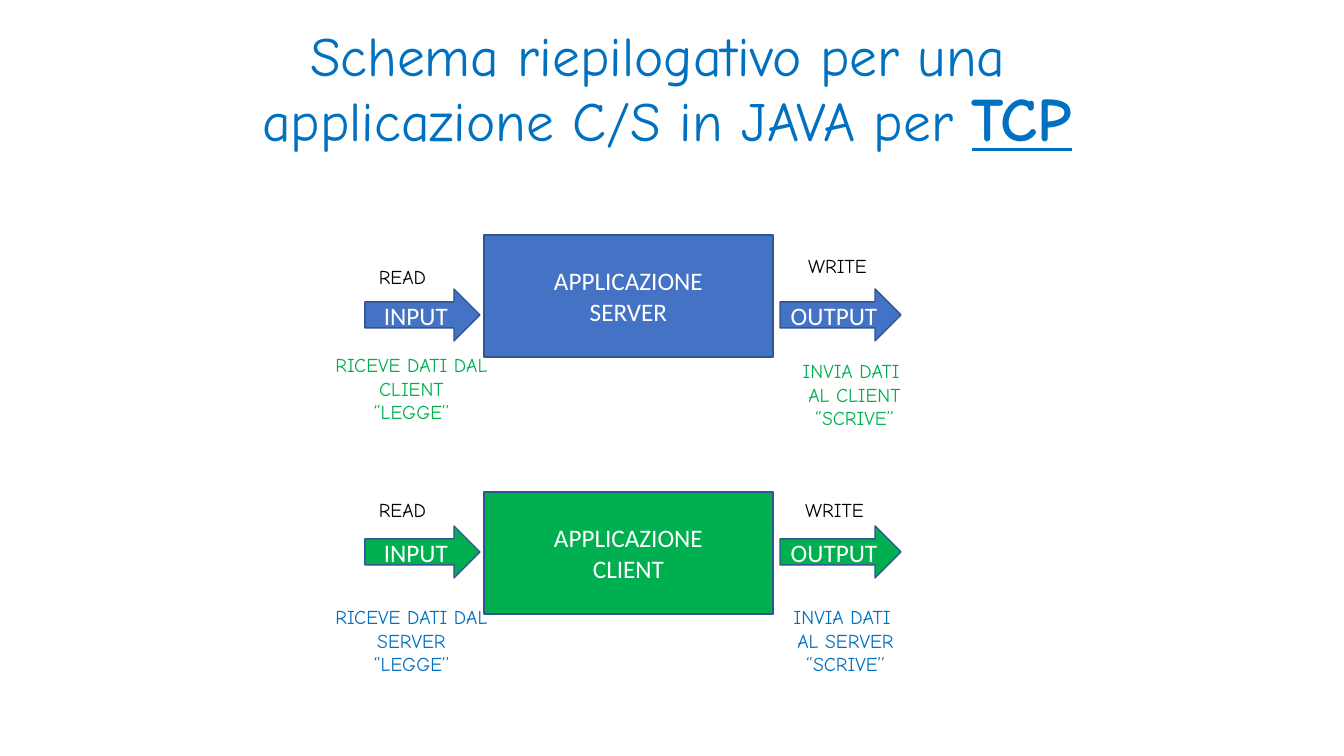
"""Build the slide that sums up a client/server application in Java over TCP."""
from dataclasses import dataclass

from pptx import Presentation
from pptx.dml.color import RGBColor
from pptx.enum.shapes import MSO_SHAPE
from pptx.enum.text import MSO_ANCHOR, MSO_AUTO_SIZE, PP_ALIGN
from pptx.shapes.autoshape import Shape
from pptx.shapes.shapetree import GroupShapes
from pptx.util import Emu, Pt

RECT, ARROW = MSO_SHAPE.RECTANGLE, MSO_SHAPE.RIGHT_ARROW
MIDDLE, CENTER = MSO_ANCHOR.MIDDLE, PP_ALIGN.CENTER
GROW = MSO_AUTO_SIZE.SHAPE_TO_FIT_TEXT

PX_PER_INCH = 100.8
BODY_FONT, HAND_FONT = "Calibri", "Comic Neue"
WHITE, BLACK, OUTLINE = "FFFFFF", "000000", "325491"
BLUE, GREEN, TEXT_BLUE = "4472C4", "00B050", "0070C0"


@dataclass(frozen=True)
class Box:
    """Place and size in px."""
    x: int
    y: int
    w: int
    h: int


@dataclass(frozen=True)
class Note:
    """Handwritten text, one string per paragraph."""
    box: Box
    paragraphs: tuple[str, ...]
    color: str


@dataclass(frozen=True)
class Application:
    """One side of the connection: a block, its arrows and its notes."""
    name: str
    fill: str
    block_y: int
    arrow_y: int
    notes: tuple[Note, ...]


APPLICATIONS = (
    Application("SERVER", BLUE, 235, 289, (
        Note(Box(321, 348, 181, 82), ("RICEVE DATI DAL CLIENT", "‘’LEGGE’’"), GREEN),
        Note(Box(764, 354, 181, 82), ("INVIA DATI \nAL CLIENT", "‘’SCRIVE’’"), GREEN),
        Note(Box(780, 249, 115, 34), ("WRITE",), BLACK),
        Note(Box(345, 260, 115, 34), ("READ",), BLACK),
    )),
    Application("CLIENT", GREEN, 492, 526, (
        Note(Box(321, 600, 181, 82), ("RICEVE DATI DAL SERVER\n‘’LEGGE’’",), TEXT_BLUE),
        Note(Box(755, 600, 181, 82), ("INVIA DATI \nAL SERVER", "‘’SCRIVE’’"), TEXT_BLUE),
        Note(Box(777, 493, 115, 34), ("WRITE",), BLACK),
        Note(Box(345, 493, 115, 34), ("READ",), BLACK),
    )),
)


def px(n: int) -> Emu:
    """Turn px into EMU."""
    return Emu(round(n * 914400 / PX_PER_INCH))


def rgb(color: str) -> RGBColor:
    """Turn a hex string into a colour."""
    return RGBColor.from_string(color)


def place(box: Box) -> tuple[Emu, Emu, Emu, Emu]:
    """Give left, top, width and height in EMU."""
    return px(box.x), px(box.y), px(box.w), px(box.h)


def write(sp: Shape, paragraphs: tuple[str, ...], size: float, font: str, color: str) -> None:
    """Fill a shape with centred paragraphs in one font."""
    tf = sp.text_frame
    tf.word_wrap = True
    for i, text in enumerate(paragraphs):
        p = tf.add_paragraph() if i else tf.paragraphs[0]
        p.text = text
        p.alignment = CENTER
        p.font.size, p.font.name = Pt(size), font
        p.font.color.rgb = rgb(color)


def add_block(shapes: GroupShapes, kind: MSO_SHAPE, box: Box, text: str, fill: str) -> None:
    """Add a filled shape with white text."""
    sp = shapes.add_shape(kind, *place(box))
    sp.shadow.inherit = False
    sp.fill.solid()
    sp.fill.fore_color.rgb = rgb(fill)
    sp.line.color.rgb = rgb(OUTLINE)
    sp.line.width = Pt(1)
    sp.text_frame.vertical_anchor = MIDDLE
    write(sp, (text,), 18, BODY_FONT, WHITE)


def add_note(shapes: GroupShapes, note: Note) -> None:
    """Add a handwritten note."""
    sp = shapes.add_textbox(*place(note.box))
    write(sp, note.paragraphs, 14, HAND_FONT, note.color)
    sp.text_frame.auto_size = GROW


def add_application(shapes: GroupShapes, app: Application) -> None:
    """Add the block, the arrows and the notes of one application."""
    add_block(shapes, RECT, Box(484, app.block_y, 289, 122), f"APPLICAZIONE\n{app.name}", app.fill)
    add_block(shapes, ARROW, Box(365, app.arrow_y, 115, 52), "INPUT", app.fill)
    add_block(shapes, ARROW, Box(780, app.arrow_y, 121, 52), "OUTPUT", app.fill)
    for note in app.notes:
        add_note(shapes, note)


def main() -> None:
    """Build and save the slide."""
    prs = Presentation()
    prs.slide_width, prs.slide_height = px(1344), px(756)
    slide = prs.slides.add_slide(prs.slide_layouts[6])

    title = slide.shapes.add_textbox(*place(Box(65, 31, 1204, 122)))
    title.text_frame.vertical_anchor = MIDDLE
    write(title, ("Schema riepilogativo per una \napplicazione C/S in JAVA per ",),
          39.6, HAND_FONT, TEXT_BLUE)
    p = title.text_frame.paragraphs[0]
    p.line_spacing = 0.9
    r = p.add_run()
    r.text = "TCP"
    r.font.size, r.font.bold, r.font.underline = Pt(44.1), True, True

    for app in APPLICATIONS:
        add_application(slide.shapes.add_group_shape().shapes, app)
    prs.save("out.pptx")


if __name__ == "__main__":
    main()
